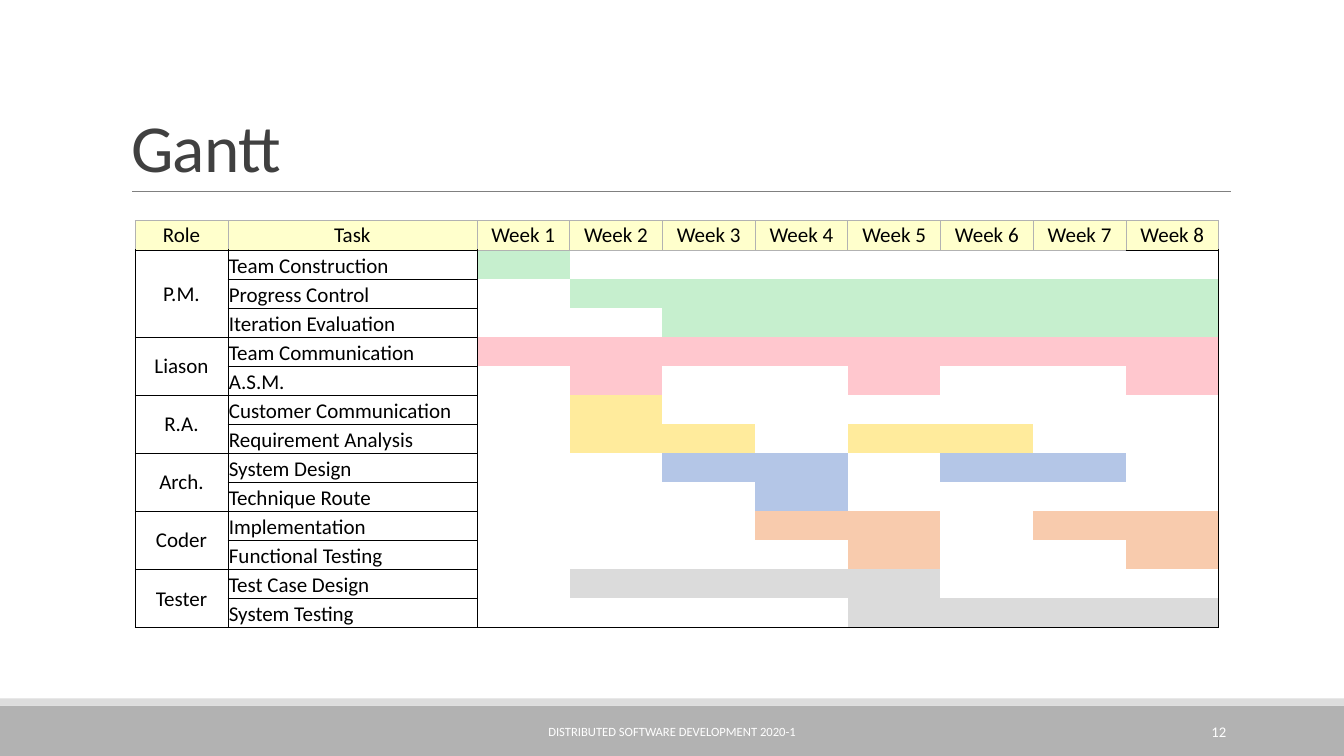
from lxml.etree import SubElement
from pptx import Presentation
from pptx.dml.color import RGBColor
from pptx.enum.shapes import MSO_CONNECTOR, MSO_SHAPE
from pptx.enum.text import MSO_ANCHOR, MSO_AUTO_SIZE, PP_ALIGN
from pptx.oxml import parse_xml
from pptx.oxml.ns import nsdecls, qn
from pptx.util import Inches, Pt

FONT = "Calibri"
COLORS = {
    "title": "404040", "text": "000000", "white": "FFFFFF",
    "footer": "B2B2B2", "strip": "DDDDDD", "rule": "808080",
    "header": "FFFFCC", "grid": "B2B2B2", "frame": "000000",
    "green": "C6EFCE", "pink": "FFC7CE", "yellow": "FFEB9C",
    "blue": "B4C6E7", "orange": "F8CBAD", "gray": "DBDBDB",
}
WEEK_COUNT = 8
FIRST_WEEK_COLUMN = 2
# Role, bar colour, tasks with their active weeks
SCHEDULE = [
    ("P.M.", "green", [("Team Construction", [1]),
                       ("Progress Control", range(2, 9)),
                       ("Iteration Evaluation", range(3, 9))]),
    ("Liason", "pink", [("Team Communication", range(1, 9)),
                        ("A.S.M.", [2, 5, 8])]),
    ("R.A.", "yellow", [("Customer Communication", [2]),
                        ("Requirement Analysis", [2, 3, 5, 6])]),
    ("Arch.", "blue", [("System Design", [3, 4, 6, 7]),
                       ("Technique Route", [4])]),
    ("Coder", "orange", [("Implementation", [4, 5, 7, 8]),
                         ("Functional Testing", [5, 8])]),
    ("Tester", "gray", [("Test Case Design", range(2, 6)),
                        ("System Testing", range(5, 9))]),
]


def color(name):
    return RGBColor.from_string(COLORS[name])


def format_text(paragraph, size, color_name, alignment):
    paragraph.alignment = alignment
    for run in paragraph.runs:
        run.font.name = FONT
        run.font.size = Pt(size)
        run.font.color.rgb = color(color_name)


def add_band(slide, top, height, color_name):
    shape = slide.shapes.add_shape(
        MSO_SHAPE.RECTANGLE, 0, Inches(top), Inches(13.33), Inches(height))
    shape.shadow.inherit = False
    shape.fill.solid()
    shape.fill.fore_color.rgb = color(color_name)
    shape.line.fill.background()


def add_title_rule(slide):
    rule = slide.shapes.add_connector(
        MSO_CONNECTOR.STRAIGHT, Inches(1.31), Inches(1.9), Inches(12.21), Inches(1.9))
    rule.line.color.rgb = color("rule")
    rule.line.width = Pt(0.5)
    SubElement(rule._element.spPr, qn("a:effectLst"))


def set_title(slide, text):
    title = slide.shapes.title
    title.left, title.top = Inches(1.2), Inches(0.31)
    title.width, title.height = Inches(11), Inches(1.59)
    frame = title.text_frame
    frame.text = text
    frame.auto_size = MSO_AUTO_SIZE.NONE
    frame.vertical_anchor = MSO_ANCHOR.BOTTOM
    paragraph = frame.paragraphs[0]
    paragraph.line_spacing = 0.85
    format_text(paragraph, 48, "title", PP_ALIGN.LEFT)
    paragraph.runs[0].font._element.set("spc", "-50")


def add_footer_text(slide, left, width, text, size, alignment):
    box = slide.shapes.add_textbox(Inches(left), Inches(7.06), Inches(width), Inches(0.4))
    frame = box.text_frame
    frame.word_wrap = True
    frame.vertical_anchor = MSO_ANCHOR.MIDDLE
    frame.text = text
    format_text(frame.paragraphs[0], size, "white", alignment)


def border_colors(row, column, last_row, last_column):
    """Give the left, right, top and bottom border colours of a cell."""
    if row == 0:
        framed = column < FIRST_WEEK_COLUMN or column == last_column
        return "grid", "grid", "grid", "frame" if framed else "grid"
    if column < FIRST_WEEK_COLUMN:
        return ("frame",) * 4
    top = None
    if row == 1:
        top = "frame" if column == last_column else "grid"
    return ("frame" if column == FIRST_WEEK_COLUMN else None,
            "frame" if column == last_column else None,
            top,
            "frame" if row == last_row else None)


def set_borders(cell, names):
    properties = cell._tc.get_or_add_tcPr()
    for position, (side, name) in enumerate(zip("LRTB", names)):
        fill = (f'<a:solidFill><a:srgbClr val="{COLORS[name]}"/></a:solidFill>'
                if name else "<a:noFill/>")
        properties.insert(position, parse_xml(
            f'<a:ln{side} {nsdecls("a")} w="6350">{fill}</a:ln{side}>'))


def format_cell(cell, fill_name=None):
    cell.margin_left = cell.margin_right = cell.margin_top = Inches(0.01)
    cell.margin_bottom = 0
    cell.vertical_anchor = MSO_ANCHOR.MIDDLE
    if fill_name:
        cell.fill.solid()
        cell.fill.fore_color.rgb = color(fill_name)
    else:
        cell.fill.background()
    # A small end mark keeps empty cells from stretching their row
    if not cell.text_frame.text:
        SubElement(cell.text_frame.paragraphs[0]._p, qn("a:endParaRPr"), sz="1000")


def write_cell(cell, text, alignment, fill_name=None):
    cell.text_frame.text = text
    format_text(cell.text_frame.paragraphs[0], 15, "text", alignment)
    format_cell(cell, fill_name)


def add_gantt_table(slide):
    row_count = 1 + sum(len(tasks) for _, _, tasks in SCHEDULE)
    column_widths = [0.92, 2.47] + [0.92] * WEEK_COUNT
    table = slide.shapes.add_table(
        row_count, len(column_widths), Inches(1.34), Inches(2.19),
        Inches(10.77), Inches(4.04)).table
    table.first_row = table.horz_banding = False
    for column, width in zip(table.columns, column_widths):
        column.width = Inches(width)

    # Header
    headings = ["Role", "Task"] + [f"Week {week + 1}" for week in range(WEEK_COUNT)]
    for column, heading in enumerate(headings):
        write_cell(table.cell(0, column), heading, PP_ALIGN.CENTER, "header")

    # Roles, tasks and bars
    row = 1
    for role, bar_color, tasks in SCHEDULE:
        role_cell = table.cell(row, 0)
        role_cell.merge(table.cell(row + len(tasks) - 1, 0))
        write_cell(role_cell, role, PP_ALIGN.CENTER)
        for task, weeks in tasks:
            if not table.cell(row, 0).is_merge_origin:
                format_cell(table.cell(row, 0))
            task_cell = table.cell(row, 1)
            write_cell(task_cell, task, PP_ALIGN.LEFT)
            task_cell.vertical_anchor = MSO_ANCHOR.BOTTOM
            for week in range(1, WEEK_COUNT + 1):
                week_cell = table.cell(row, FIRST_WEEK_COLUMN + week - 1)
                format_cell(week_cell, bar_color if week in weeks else None)
            row += 1

    # Borders
    for row in range(row_count):
        for column in range(len(column_widths)):
            set_borders(table.cell(row, column), border_colors(
                row, column, row_count - 1, len(column_widths) - 1))


def main():
    presentation = Presentation()
    presentation.slide_width = Inches(13.33)
    presentation.slide_height = Inches(7.5)
    slide = presentation.slides.add_slide(presentation.slide_layouts[5])

    add_band(slide, 7, 0.5, "footer")
    add_band(slide, 6.93, 0.07, "strip")
    add_title_rule(slide)
    set_title(slide, "Gantt")
    add_gantt_table(slide)
    add_footer_text(slide, 4.03, 5.27, "DISTRIBUTED SOFTWARE DEVELOPMENT 2020-1",
                    9, PP_ALIGN.CENTER)
    add_footer_text(slide, 10.83, 1.43, "12", 10.5, PP_ALIGN.RIGHT)
    presentation.save("out.pptx")


if __name__ == "__main__":
    main()
